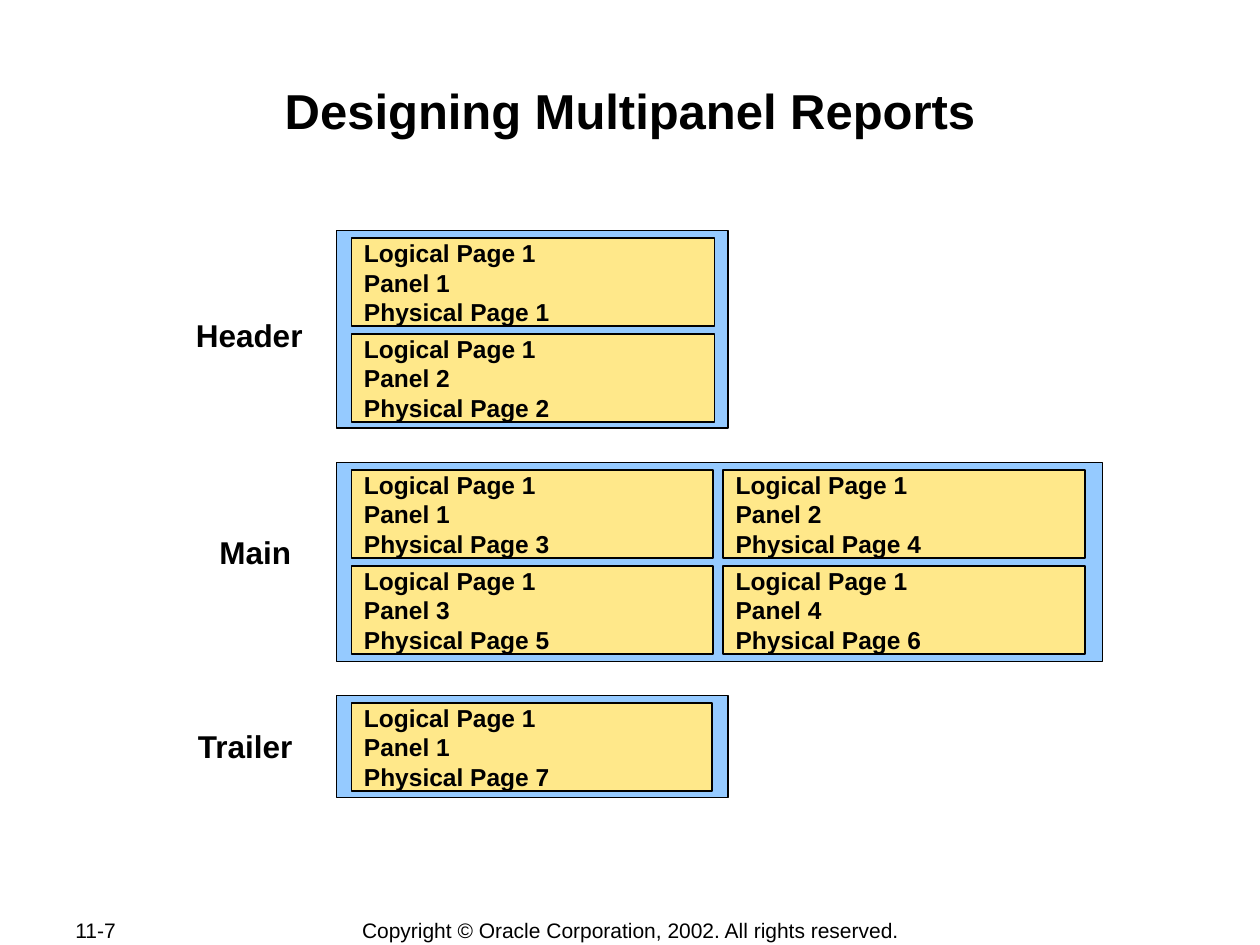
from itertools import count

from pptx import Presentation
from pptx.dml.color import RGBColor
from pptx.enum.shapes import MSO_SHAPE as Shape
from pptx.enum.text import MSO_ANCHOR as Anchor, MSO_AUTO_SIZE as AutoSize, PP_ALIGN as Align
from pptx.util import Inches, Pt

COLORS = {"ink": "000000", "frame": "95CAFF", "panel": "FFE88A"}

PANEL_LEFT = 2.79
PANEL_HEIGHT = 0.7
PANEL_INSET = 0.06
COLUMN_STEP = 2.95
ROW_STEP = 0.76

SECTIONS = [
    {"name": "Header", "label": (1.42, 2.25, 1.08, 0.61), "frame": (2.67, 1.83, 3.11, 1.57),
     "rows": 2, "columns": 1, "panel_width": 2.88},
    {"name": "Main", "label": (1.58, 3.97, 0.83, 0.61), "frame": (2.67, 3.67, 6.08, 1.58),
     "rows": 2, "columns": 2, "panel_width": 2.87},
    {"name": "Trailer", "label": (1.42, 5.51, 1, 0.61), "frame": (2.67, 5.52, 3.11, 0.81),
     "rows": 1, "columns": 1, "panel_width": 2.86},
]


class ReportPage:
    font_name = "Arial"

    def __init__(self, deck):
        self.slide = deck.slides.add_slide(deck.slide_layouts[5])

    def color(self, name):
        return RGBColor.from_string(COLORS[name])

    def fill_text(self, frame, text, size, bold=False, align=Align.LEFT, anchor=Anchor.MIDDLE,
                  spacing=1.0):
        frame.text = text
        frame.word_wrap = True
        frame.auto_size = AutoSize.NONE
        frame.vertical_anchor = anchor
        for para in frame.paragraphs:
            para.alignment = align
            para.line_spacing = spacing
            para.space_before = Pt(0)
            for span in para.runs:
                span.font.name = self.font_name
                span.font.size = Pt(size)
                span.font.bold = bold
                span.font.color.rgb = self.color("ink")

    def title(self, text, left, top, width, height):
        box = self.slide.shapes.title
        box.left, box.top = Inches(left), Inches(top)
        box.width, box.height = Inches(width), Inches(height)
        frame = box.text_frame
        frame.margin_left = frame.margin_right = frame.margin_bottom = Inches(0.01)
        frame.margin_top = Inches(0.06)
        self.fill_text(frame, text, 28, bold=True, align=Align.CENTER, anchor=Anchor.TOP)

    def label(self, text, bounds, size, **style):
        box = self.slide.shapes.add_textbox(*map(Inches, bounds))
        self.fill_text(box.text_frame, text, size, **style)

    def rectangle(self, bounds, fill):
        box = self.slide.shapes.add_shape(Shape.RECTANGLE, *map(Inches, bounds))
        box.shadow.inherit = False
        box.fill.solid()
        box.fill.fore_color.rgb = self.color(fill)
        box.line.color.rgb = self.color("ink")
        box.line.width = Pt(1)
        return box

    def panel(self, bounds, panel_number, page_number):
        box = self.rectangle(bounds, "panel")
        text = f"Logical Page 1\nPanel {panel_number}\nPhysical Page {page_number}"
        self.fill_text(box.text_frame, text, 14, bold=True)

    def section(self, section, page_numbers):
        self.rectangle(section["frame"], "frame")
        top = section["frame"][1] + PANEL_INSET
        columns = section["columns"]
        for index in range(section["rows"] * columns):
            row, column = divmod(index, columns)
            bounds = (PANEL_LEFT + column * COLUMN_STEP, top + row * ROW_STEP,
                      section["panel_width"], PANEL_HEIGHT)
            self.panel(bounds, index + 1, next(page_numbers))
        self.label(section["name"], section["label"], 18, bold=True, align=Align.RIGHT,
                   anchor=Anchor.BOTTOM, spacing=0.85)


def main():
    deck = Presentation()
    deck.slide_width, deck.slide_height = Inches(10), Inches(7.5)
    page = ReportPage(deck)
    page.title("Designing Multipanel Reports", 1, 0.58, 8, 0.96)
    page_numbers = count(1)
    for section in SECTIONS:
        page.section(section, page_numbers)
    page.label("11-7", (0.5, 7.28, 1.06, 0.2), 12)
    page.label("Copyright © Oracle Corporation, 2002. All rights reserved.",
               (2.76, 7.28, 4.49, 0.21), 12, align=Align.CENTER)
    deck.save("out.pptx")


if __name__ == "__main__":
    main()
